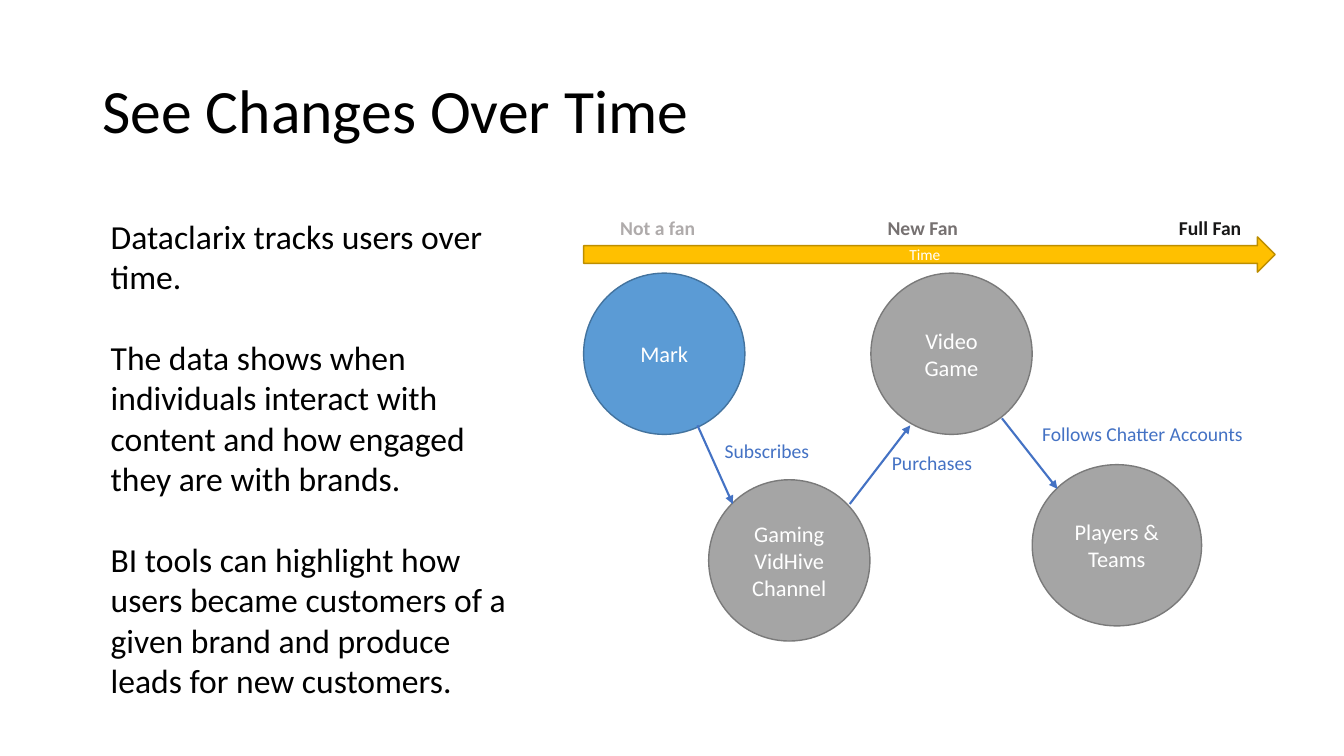
import pptx
import pptx.dml.color
import pptx.enum.shapes
import pptx.enum.text
import pptx.oxml
import pptx.oxml.ns
import pptx.util

Pt = pptx.util.Pt
SHAPE = pptx.enum.shapes.MSO_SHAPE
ALIGN = pptx.enum.text.PP_ALIGN
ANCHOR = pptx.enum.text.MSO_ANCHOR

COLORS = {
    "black": "000000", "white": "FFFFFF",
    "grey": "A5A5A5", "grey_edge": "7A7A7A",
    "blue": "5B9BD5", "blue_edge": "43739E",
    "gold": "FFC000", "gold_edge": "BD8E00",
    "action": "4472C4",
    "not_fan": "AFABAB", "new_fan": "767171", "full_fan": "181717",
}
DIAMETER = 115.2
LABEL_HEIGHT = 25.2
TIMELINE_LEFT = 416.9
STAGE_TOP = 150.5
UPPER_TOP = 195.1


def rgb(name):
    return pptx.dml.color.RGBColor.from_string(COLORS[name])


def write(frame, paragraphs, size, color, bold=False, align=ALIGN.LEFT,
          anchor=ANCHOR.TOP, gap=0, line_spacing=None):
    """Fill a text frame; gap is the space between paragraphs."""
    frame.word_wrap = True
    frame.vertical_anchor = anchor
    for index, text in enumerate(paragraphs):
        paragraph = frame.add_paragraph() if index else frame.paragraphs[0]
        paragraph.alignment = align
        if index and gap:
            paragraph.space_before = Pt(gap)
        if line_spacing:
            paragraph.line_spacing = line_spacing
        run = paragraph.add_run()
        run.text = text
        run.font.name = "Calibri"
        run.font.size = Pt(size)
        run.font.bold = bold
        run.font.color.rgb = rgb(color)


def add_text(slide, box, paragraphs, size, color, **style):
    textbox = slide.shapes.add_textbox(*map(Pt, box))
    write(textbox.text_frame, paragraphs, size, color, **style)


def add_filled(slide, kind, box, paragraphs, size, fill):
    """Add a preset shape with centred white text and a darker edge."""
    shape = slide.shapes.add_shape(kind, *map(Pt, box))
    shape.shadow.inherit = False
    shape.fill.solid()
    shape.fill.fore_color.rgb = rgb(fill)
    shape.line.color.rgb = rgb(fill + "_edge")
    shape.line.width = Pt(1)
    write(shape.text_frame, paragraphs, size, "white",
          align=ALIGN.CENTER, anchor=ANCHOR.MIDDLE)


def add_arrow(slide, start, end):
    arrow = slide.shapes.add_connector(
        pptx.enum.shapes.MSO_CONNECTOR.STRAIGHT, *map(Pt, start + end))
    arrow.line.color.rgb = rgb("action")
    arrow.line.width = Pt(1.5)
    head = pptx.oxml.parse_xml(
        f'<a:tailEnd {pptx.oxml.ns.nsdecls("a")} type="triangle"/>')
    arrow.line._get_or_add_ln().append(head)
    effects = pptx.oxml.parse_xml(
        f'<a:effectLst {pptx.oxml.ns.nsdecls("a")}/>')
    arrow._element.spPr.append(effects)


def main():
    presentation = pptx.Presentation()
    presentation.slide_width = Pt(960)
    presentation.slide_height = Pt(540)
    slide = presentation.slides.add_slide(presentation.slide_layouts[6])

    add_text(slide, (66.2, 28.8, 828, 104.4), ["See Changes Over Time"], 44,
             "black", anchor=ANCHOR.MIDDLE, line_spacing=0.9)

    touchpoints = [
        (506.2, 342.7, DIAMETER, ["Gaming", "VidHive Channel"], "grey"),
        (622.1, UPPER_TOP, DIAMETER, ["Video Game"], "grey"),
        (737.3, 331.9, 121, ["Players & Teams"], "grey"),
        (TIMELINE_LEFT, UPPER_TOP, DIAMETER, ["Mark"], "blue"),
    ]
    for left, top, width, lines, fill in touchpoints:
        add_filled(slide, SHAPE.OVAL, (left, top, width, DIAMETER),
                   lines, 16, fill)

    actions = [
        ((498.2, 303.8), (523.4, 360), (510.5, 309.6, 83.5), "Subscribes"),
        ((607, 360), (650.2, 303.8), (630, 318.2, 83.5), "Purchases"),
        ((715.7, 298.8), (755.3, 349.2), (737.3, 298.1, 167.8),
         "Follows Chatter Accounts"),
    ]
    for start, end, label_box, label in actions:
        add_arrow(slide, start, end)
        add_text(slide, (*label_box, LABEL_HEIGHT), [label], 14, "action")

    add_filled(slide, SHAPE.RIGHT_ARROW, (TIMELINE_LEFT, 169.2, 493.9, 25.2),
               ["Time"], 11, "gold")
    stages = [
        (432.7, 74.2, "Not a fan", "not_fan"),
        (622.1, 74.2, "New Fan", "new_fan"),
        (823.7, 81.4, "Full Fan", "full_fan"),
    ]
    for left, width, stage, color in stages:
        add_text(slide, (left, STAGE_TOP, width, LABEL_HEIGHT), [stage], 14,
                 color, bold=True, align=ALIGN.CENTER)

    add_text(slide, (72, STAGE_TOP, 297.4, 356.4), [
        "Dataclarix tracks users over time.",
        "The data shows when individuals interact with content and how "
        "engaged they are with brands.",
        "BI tools can highlight how users became customers of a given brand "
        "and produce leads for new customers.",
    ], 24, "black", gap=29)

    presentation.save("out.pptx")


if __name__ == "__main__":
    main()
